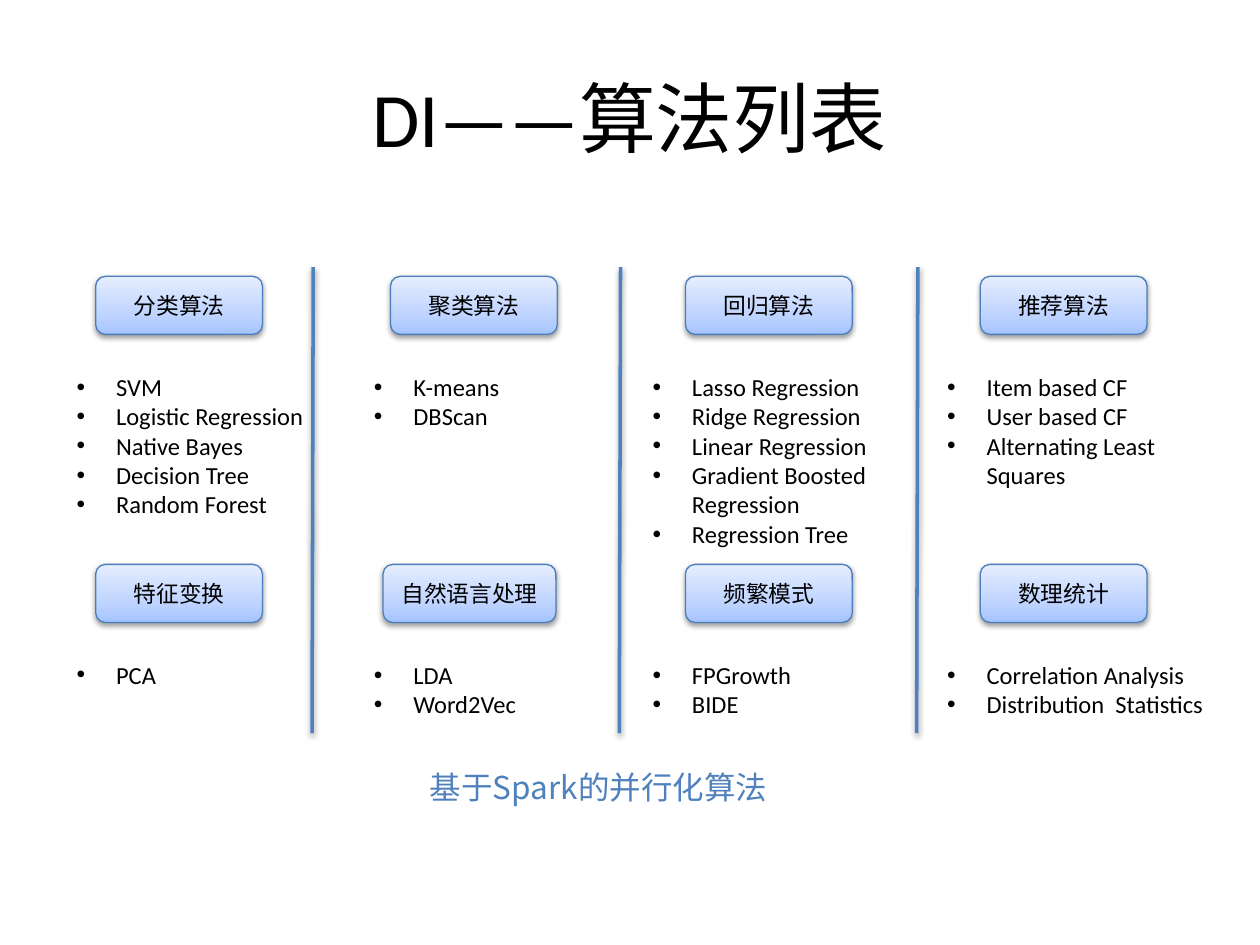
from lxml import etree
from pptx import Presentation
from pptx.dml.color import RGBColor
from pptx.enum.shapes import MSO_CONNECTOR, MSO_SHAPE
from pptx.enum.text import MSO_ANCHOR, PP_ALIGN
from pptx.oxml import parse_xml
from pptx.oxml.ns import nsdecls, qn
from pptx.util import Pt

ROUNDED = MSO_SHAPE.ROUNDED_RECTANGLE
STRAIGHT = MSO_CONNECTOR.STRAIGHT
CENTER = PP_ALIGN.CENTER
MIDDLE = MSO_ANCHOR.MIDDLE

COLORS = {
    "text": "000000",
    "accent": "4F81BD",
    "border": "4B7EBC",
    "shadow": "000000",
    "deep": "A4C4FF",
    "mid": "BFD4FF",
    "pale": "E6EEFF",
}
LATIN = "Calibri"
CHINESE = "Noto Sans CJK SC"

HEADER_LEFT, HEADER_STEP = 54.7, 168.5
HEADER_WIDTH, HEADER_HEIGHT = 120.5, 42 * 0.79
LIST_LEFTS = (36.7, 206.6, 365.8, 534.2)
LIST_WIDTH, LIST_OFFSET = 147.6, 51
DIVIDER_LEFTS = (179, 354.6, 524.5)
DIVIDER_TOP, DIVIDER_BOTTOM = 152.6, 419

# Each row: top, then (header, algorithms) for each column
ROWS = (
    (157.9, (
        ("分类算法", ("SVM", "Logistic Regression", "Native Bayes",
                  "Decision Tree", "Random Forest")),
        ("聚类算法", ("K-means", "DBScan")),
        ("回归算法", ("Lasso Regression", "Ridge Regression", "Linear Regression",
                  "Gradient Boosted Regression", "Regression Tree")),
        ("推荐算法", ("Item based CF", "User based CF", "Alternating Least Squares")),
    )),
    (322.5, (
        ("特征变换", ("PCA",)),
        ("自然语言处理", ("LDA", "Word2Vec")),
        ("频繁模式", ("FPGrowth", "BIDE")),
        ("数理统计", ("Correlation Analysis", "Distribution  Statistics")),
    )),
)
# Boxes that are wider than their column's rule: left, width
WIDE_HEADERS = {"自然语言处理": (218.9, 98.8)}
WIDE_LISTS = {"数理统计": 167}


def format_runs(para, size, font, color="text"):
    for span in para.runs:
        span.font.size = Pt(size)
        span.font.name = font
        span.font.color.rgb = RGBColor.from_string(COLORS[color])
        east_asian = etree.SubElement(span.font._element, qn("a:ea"))
        east_asian.set("typeface", CHINESE)


def add_shadow(shape):
    shape._element.spPr.append(parse_xml(
        f'<a:effectLst {nsdecls("a")}>'
        '<a:outerShdw blurRad="40000" dist="20000" dir="5400000" rotWithShape="0">'
        f'<a:srgbClr val="{COLORS["shadow"]}"><a:alpha val="38000"/></a:srgbClr>'
        '</a:outerShdw></a:effectLst>'))


def fill_gradient(shape):
    stops = "".join(
        f'<a:gs pos="{position * 1000}"><a:srgbClr val="{COLORS[name]}"/></a:gs>'
        for position, name in ((0, "deep"), (35, "mid"), (100, "pale")))
    shape._element.spPr.append(parse_xml(
        f'<a:gradFill {nsdecls("a")} rotWithShape="1"><a:gsLst>{stops}</a:gsLst>'
        '<a:lin ang="16200000" scaled="0"/></a:gradFill>'))


def add_bullet(para, indent):
    properties = para._p.get_or_add_pPr()
    properties.set("marL", str(Pt(indent)))
    properties.set("indent", str(-Pt(indent)))
    etree.SubElement(properties, qn("a:buFont")).set("typeface", "Arial")
    etree.SubElement(properties, qn("a:buChar")).set("char", "•")


def add_title(page, left, top, width, height):
    title = page.shapes.title
    title.left, title.top, title.width, title.height = map(Pt, (left, top, width, height))
    title.text_frame.text = "DI——算法列表"
    title.text_frame.vertical_anchor = MIDDLE
    para = title.text_frame.paragraphs[0]
    para.alignment = CENTER
    format_runs(para, 44, LATIN)


def add_header(page, text, left, top, width, height):
    box = page.shapes.add_shape(ROUNDED, Pt(left), Pt(top), Pt(width), Pt(height))
    fill_gradient(box)
    box.line.color.rgb = RGBColor.from_string(COLORS["border"])
    box.line.width = Pt(0.75)
    add_shadow(box)
    box.text_frame.text = text
    box.text_frame.vertical_anchor = MIDDLE
    para = box.text_frame.paragraphs[0]
    para.alignment = CENTER
    format_runs(para, 13, CHINESE)


def add_list(page, items, left, top, width):
    box = page.shapes.add_textbox(Pt(left), Pt(top), Pt(width), Pt(7.2 + 17 * len(items)))
    box.text_frame.word_wrap = True
    box.text_frame.text = "\n".join(items)
    for para in box.text_frame.paragraphs:
        add_bullet(para, 22.5)
        format_runs(para, 14, LATIN)


def add_divider(page, left, top, bottom):
    line = page.shapes.add_connector(
        STRAIGHT, Pt(left), Pt(top), Pt(left - 0.7), Pt(bottom))
    line.line.color.rgb = RGBColor.from_string(COLORS["accent"])
    line.line.width = Pt(2)
    add_shadow(line)


def add_caption(page, left, top, width, height):
    box = page.shapes.add_textbox(Pt(left), Pt(top), Pt(width), Pt(height))
    box.text_frame.word_wrap = True
    box.text_frame.text = "基于Spark的并行化算法"
    para = box.text_frame.paragraphs[0]
    para.alignment = CENTER
    format_runs(para, 18, CHINESE, "accent")


def main():
    deck = Presentation()
    deck.slide_width, deck.slide_height = Pt(720), Pt(540)
    page = deck.slides.add_slide(deck.slide_layouts[5])

    add_title(page, 36, 21.6, 648, 90)

    # Algorithm groups
    for top, groups in ROWS:
        for column, (name, items) in enumerate(groups):
            left, width = WIDE_HEADERS.get(
                name, (HEADER_LEFT + column * HEADER_STEP, 95.3))
            add_header(page, name, left, top, width, HEADER_HEIGHT)
            add_list(page, items, LIST_LEFTS[column], top + LIST_OFFSET,
                     WIDE_LISTS.get(name, LIST_WIDTH))

    # Column dividers
    for left in DIVIDER_LEFTS:
        add_divider(page, left, DIVIDER_TOP, DIVIDER_BOTTOM)

    add_caption(page, 149.8, 435.6, 384.5, 28.8)
    deck.save("out.pptx")


if __name__ == "__main__":
    main()
